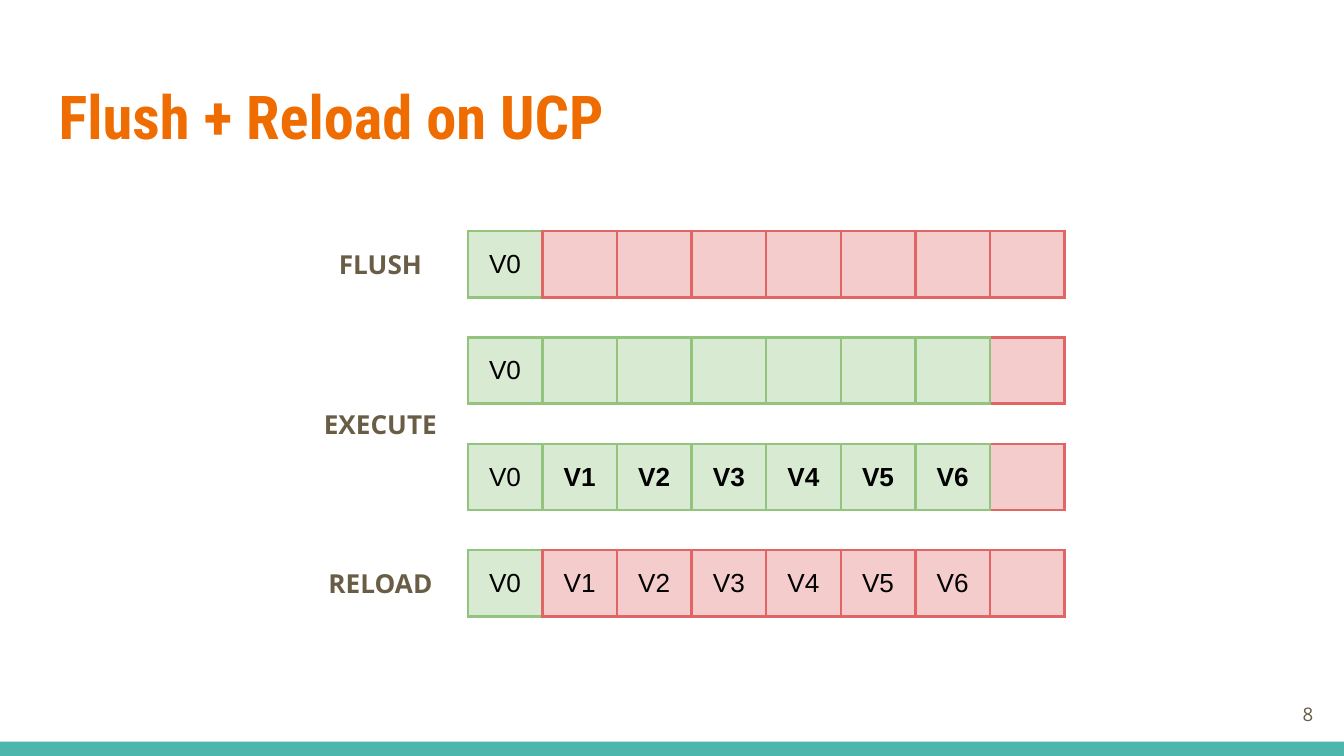
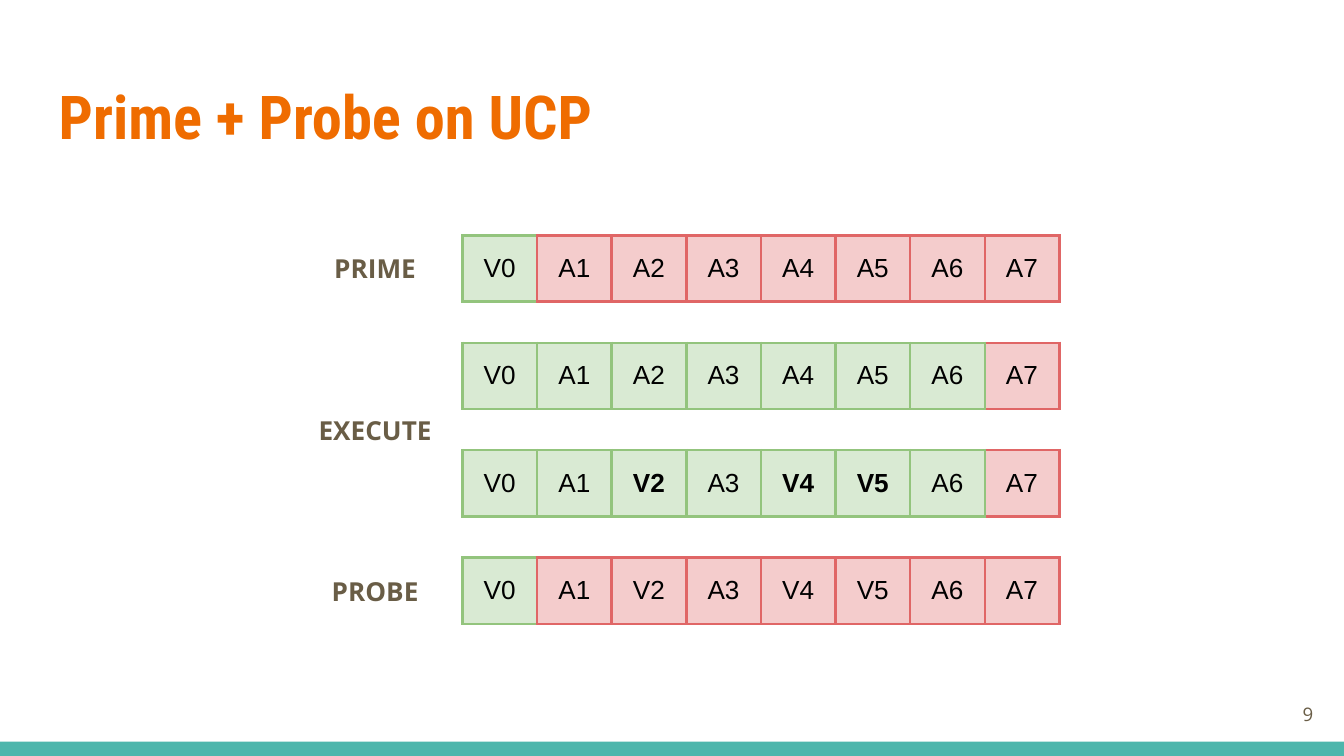
from dataclasses import dataclass

from lxml.etree import SubElement
from pptx import Presentation
from pptx.dml.color import RGBColor
from pptx.enum.shapes import MSO_SHAPE as Preset
from pptx.enum.text import MSO_ANCHOR as Anchor, MSO_AUTO_SIZE as AutoSize, PP_ALIGN as Align
from pptx.oxml.ns import qn
from pptx.slide import Slide
from pptx.table import _Cell as Cell
from pptx.text.text import _Paragraph as Paragraph
from pptx.util import Cm, Pt

TEAL = RGBColor(0x4D, 0xB6, 0xAC)
ORANGE = RGBColor(0xEF, 0x6C, 0x00)
BROWN = RGBColor(0x69, 0x5D, 0x46)
BLACK = RGBColor(0x00, 0x00, 0x00)
GREEN_FILL = RGBColor(0xD9, 0xEA, 0xD3)
GREEN_LINE = RGBColor(0x93, 0xC4, 0x7D)
RED_FILL = RGBColor(0xF4, 0xCC, 0xCC)
RED_LINE = RGBColor(0xE0, 0x66, 0x66)

TITLE_FONT, BODY_FONT, CELL_FONT = "Roboto Condensed", "Open Sans", "Arial"

SLIDE_WIDTH, SLIDE_HEIGHT, BAND_HEIGHT = 25.4, 14.29, 0.27
WAYS = 8
WAY_WIDTH, WAY_HEIGHT = 1.41, 1.25
INSET = Cm(0.25)
LABEL_HEIGHT = 1.12
LABEL_GAP = 1.65  # from the centre of a label to the cache rows
LABEL_DROP = 0.08


@dataclass(frozen=True)
class TextStyle:
    font: str
    size: float
    color: RGBColor
    bold: bool = False
    align: Align = Align.CENTER


@dataclass(frozen=True)
class CacheRow:
    """One cache set; the first `green` ways belong to the victim."""
    green: int
    lines: str
    bold: str = ""


@dataclass(frozen=True)
class PhaseLabel:
    text: str
    row: float
    width: float


@dataclass(frozen=True)
class AttackPage:
    title: str
    number: int
    left: float
    top: float
    step: float
    rows: tuple[CacheRow, ...]
    labels: tuple[PhaseLabel, ...]


TITLE_STYLE = TextStyle(TITLE_FONT, 32.4, ORANGE, True, Align.LEFT)
NUMBER_STYLE = TextStyle(BODY_FONT, 10, BROWN, align=Align.RIGHT)
LABEL_STYLE = TextStyle(BODY_FONT, 14, BROWN, True)
CELL_STYLE = TextStyle(CELL_FONT, 14, BLACK)
BOLD_CELL_STYLE = TextStyle(CELL_FONT, 14, BLACK, True)

PAGES = (
    AttackPage(
        "Flush + Reload on UCP", 8, 8.84, 4.37, 2.01,
        (
            CacheRow(1, "V0"),
            CacheRow(7, "V0"),
            CacheRow(7, "V0 V1 V2 V3 V4 V5 V6", bold="V1 V2 V3 V4 V5 V6"),
            CacheRow(1, "V0 V1 V2 V3 V4 V5 V6"),
        ),
        (
            PhaseLabel("FLUSH", 0, 2.39),
            PhaseLabel("EXECUTE", 1.5, 3.71),
            PhaseLabel("RELOAD", 3, 2.84),
        ),
    ),
    AttackPage(
        "Prime + Probe on UCP", 9, 8.74, 4.45, 2.03,
        (
            CacheRow(1, "V0 A1 A2 A3 A4 A5 A6 A7"),
            CacheRow(7, "V0 A1 A2 A3 A4 A5 A6 A7"),
            CacheRow(7, "V0 A1 V2 A3 V4 V5 A6 A7", bold="V2 V4 V5"),
            CacheRow(1, "V0 A1 V2 A3 V4 V5 A6 A7"),
        ),
        (
            PhaseLabel("PRIME", 0, 2.49),
            PhaseLabel("EXECUTE", 1.5, 3.35),
            PhaseLabel("PROBE", 3, 2.49),
        ),
    ),
)


def write(para: Paragraph, text: str, style: TextStyle) -> None:
    para.text = text
    para.alignment = style.align
    para.font.name = style.font
    para.font.size = Pt(style.size)
    para.font.bold = style.bold
    para.font.color.rgb = style.color


def add_text(page: Slide, text: str, style: TextStyle, left: float, top: float,
             width: float, height: float, anchor: Anchor = Anchor.TOP,
             auto_size: AutoSize = AutoSize.NONE) -> None:
    box = page.shapes.add_textbox(Cm(left), Cm(top), Cm(width), Cm(height))
    frame = box.text_frame
    frame.word_wrap = True
    frame.auto_size = auto_size
    frame.vertical_anchor = anchor
    frame.margin_left = frame.margin_right = INSET
    frame.margin_top = frame.margin_bottom = INSET
    write(frame.paragraphs[0], text, style)


def add_border(cell: Cell, side: str, color: RGBColor) -> None:
    properties = cell._tc.get_or_add_tcPr()
    line = SubElement(properties, qn(f"a:ln{side}"), w=str(Pt(1.5)))
    fill = SubElement(line, qn("a:solidFill"))
    SubElement(fill, qn("a:srgbClr"), val=str(color))


def add_cache_row(page: Slide, row: CacheRow, left: float, top: float) -> None:
    frame = page.shapes.add_table(1, WAYS, Cm(left), Cm(top),
                                  Cm(WAYS * WAY_WIDTH), Cm(WAY_HEIGHT))
    table = frame.table
    table.first_row = table.horz_banding = False
    lines, bold = row.lines.split(), row.bold.split()
    # The larger partition colours the edge that both share.
    shared_line = GREEN_LINE if row.green > WAYS / 2 else RED_LINE
    for way in range(WAYS):
        table.columns[way].width = Cm(WAY_WIDTH)
        cell = table.cell(0, way)
        is_green = way < row.green
        own_line = GREEN_LINE if is_green else RED_LINE
        add_border(cell, "L", shared_line if way == row.green else own_line)
        add_border(cell, "R", shared_line if way == row.green - 1 else own_line)
        add_border(cell, "T", own_line)
        add_border(cell, "B", own_line)
        cell.fill.solid()
        cell.fill.fore_color.rgb = GREEN_FILL if is_green else RED_FILL
        cell.vertical_anchor = Anchor.MIDDLE
        cell.margin_left = cell.margin_right = INSET
        cell.margin_top = cell.margin_bottom = INSET
        text = lines[way] if way < len(lines) else ""
        style = BOLD_CELL_STYLE if text in bold else CELL_STYLE
        write(cell.text_frame.paragraphs[0], text, style)


def add_page_frame(page: Slide, title: str, number: int) -> None:
    """Draw the bottom band, the title and the page number."""
    band = page.shapes.add_shape(Preset.RECTANGLE, 0, Cm(SLIDE_HEIGHT - BAND_HEIGHT),
                                 Cm(SLIDE_WIDTH), Cm(BAND_HEIGHT))
    band.shadow.inherit = False
    band.fill.solid()
    band.fill.fore_color.rgb = TEAL
    band.line.fill.background()
    add_text(page, title, TITLE_STYLE, 0.86, 1.24, 23.67, 1.96)
    add_text(page, str(number), NUMBER_STYLE, 23.55, 12.95, 1.52, 1.09, Anchor.MIDDLE)


def draw_attack(page: Slide, attack: AttackPage) -> None:
    add_page_frame(page, attack.title, attack.number)
    for index, row in enumerate(attack.rows):
        add_cache_row(page, row, attack.left, attack.top + index * attack.step)
    for label in attack.labels:
        add_text(page, label.text, LABEL_STYLE,
                 attack.left - LABEL_GAP - label.width / 2,
                 attack.top + LABEL_DROP + label.row * attack.step,
                 label.width, LABEL_HEIGHT, auto_size=AutoSize.SHAPE_TO_FIT_TEXT)


def main() -> None:
    deck = Presentation()
    deck.slide_width, deck.slide_height = Cm(SLIDE_WIDTH), Cm(SLIDE_HEIGHT)
    blank = deck.slide_layouts[6]
    for attack in PAGES:
        draw_attack(deck.slides.add_slide(blank), attack)
    deck.save("out.pptx")


if __name__ == "__main__":
    main()
